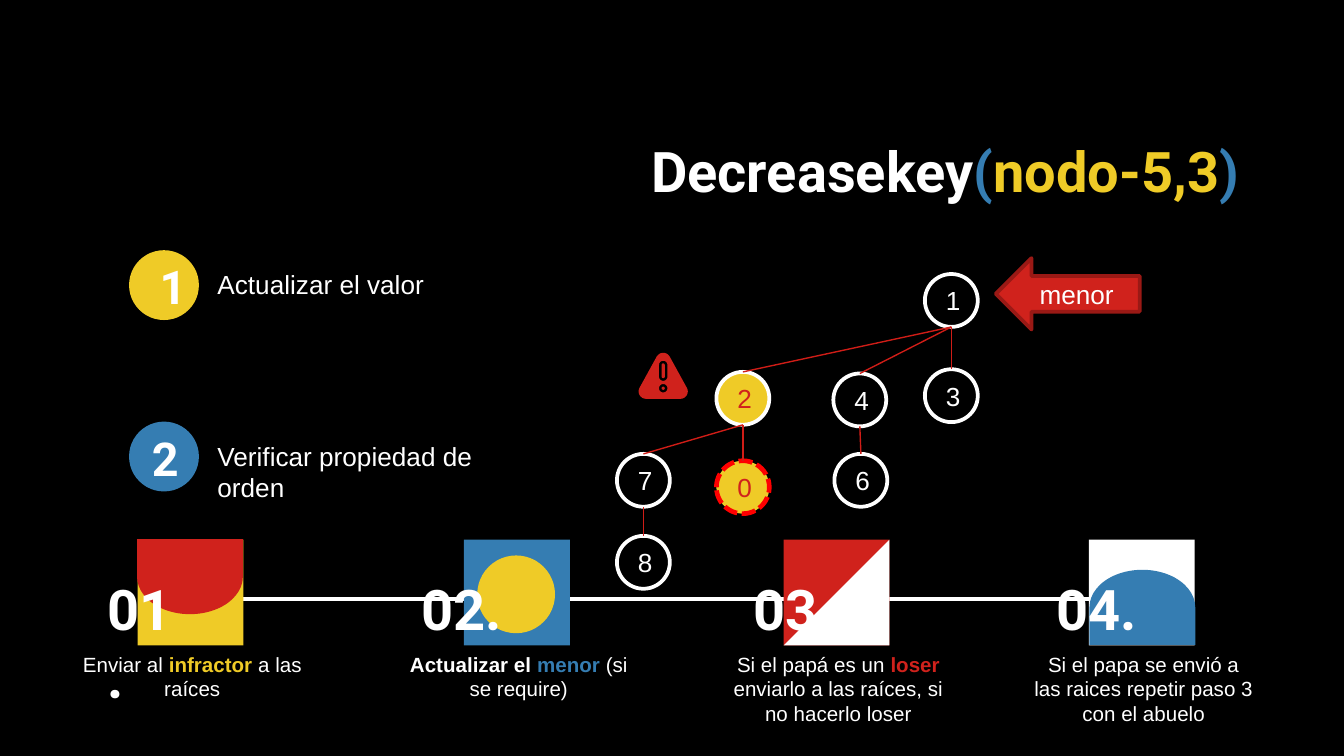
import math
import lxml.etree
import pptx
import pptx.util
import pptx.dml.color
import pptx.enum.dml
import pptx.enum.shapes
import pptx.enum.text
import pptx.oxml.ns

Cm = pptx.util.Cm
Pt = pptx.util.Pt
Kind = pptx.enum.shapes.MSO_SHAPE
Align = pptx.enum.text.PP_ALIGN
Anchor = pptx.enum.text.MSO_ANCHOR

HUES = {"black": "000000", "white": "FFFFFF", "gold": "EFCB27", "blue": "357DB2",
        "red": "D0221C", "edge": "D01D17", "dark": "9A1915", "alarm": "FF0000"}
HEAD = {"name": "Roboto", "size": Pt(30), "bold": True}
MARK = {"name": "Roboto", "size": Pt(25), "bold": True}
BODY = {"name": "Arial", "size": Pt(14), "bold": False}
NOTE = {"name": "Arial", "size": Pt(11), "bold": False}


def hue(name):
    return pptx.dml.color.RGBColor.from_string(HUES[name])


def write(frame, runs, fmt, align=Align.LEFT):
    para = frame.paragraphs[0]
    para.alignment = align
    for text, tint, *more in runs:
        run = para.add_run()
        run.text = text
        for key, value in {**fmt, **dict(*more)}.items():
            setattr(run.font, key, value)
        run.font.color.rgb = hue(tint)


def label(slide, box, runs, fmt, align=Align.LEFT, anchor=Anchor.TOP):
    frame = slide.shapes.add_textbox(*map(Cm, box)).text_frame
    style = {"word_wrap": True, "vertical_anchor": anchor}
    style.update({"margin_" + side: Cm(0.25) for side in ("left", "top", "right", "bottom")})
    for key, value in style.items():
        setattr(frame, key, value)
    write(frame, runs, fmt, align)


def paint(shape, fill=None, line=None, width=2):
    shape.shadow.inherit = False
    if fill:
        shape.fill.solid()
        shape.fill.fore_color.rgb = hue(fill)
    else:
        shape.fill.background()
    if line:
        shape.line.color.rgb = hue(line)
        shape.line.width = Pt(width)
    else:
        shape.line.fill.background()


def form(slide, kind, box, fill=None, line=None, width=2, turn=0):
    shape = slide.shapes.add_shape(kind, *map(Cm, box))
    shape.rotation = turn
    paint(shape, fill, line, width)
    return shape


def inner(shape, text, tint):
    shape.text_frame.vertical_anchor = Anchor.MIDDLE
    write(shape.text_frame, [(text, tint)], BODY, Align.CENTER)


def link(slide, start, end, tint, width):
    line = slide.shapes.add_connector(pptx.enum.shapes.MSO_CONNECTOR.STRAIGHT,
                                      *map(Cm, (*start, *end)))
    line.line.color.rgb = hue(tint)
    line.line.width = Pt(width)
    lxml.etree.SubElement(line._element.spPr, pptx.oxml.ns.qn("a:effectLst"))


def title(slide, box):
    runs = [("Decreasekey", "white"), ("(", "blue"), ("nodo-5,3", "gold"), (")", "blue")]
    label(slide, box, runs, HEAD, Align.RIGHT, Anchor.MIDDLE)


def step(slide, box, mark, text, fill, shift):
    x, y, w, h = box
    form(slide, Kind.OVAL, (x, y, h, h), fill)
    label(slide, (x + shift, y - 0.1, 2, 1.6), [(mark, "white")], MARK)
    label(slide, (x + 1.42, y + 0.1, w - 1.42, 1.7), [(text, "white")], BODY)


def tree(slide, box):
    left, top, size = box
    spots = {"1": (5.82, 0), "3": (5.82, 1.8), "4": (4.09, 1.88), "6": (4.11, 3.4),
             "2": (1.88, 1.85), "0": (1.88, 3.53), "7": (0, 3.4), "8": (0, 4.95)}
    for text, (x, y) in spots.items():
        hot = text in "20"
        node = form(slide, Kind.OVAL, (left + x, top + y, size, size),
                    "gold" if hot else None, "white")
        inner(node, text, "red" if hot else "white")
        if text == "0":
            paint(node, "gold", "alarm", 2.5)
            node.line.dash_style = pptx.enum.dml.MSO_LINE.SQUARE_DOT
    for high, low in ("13", "46", "20", "78", "27", "12", "14"):
        (x, y), (u, v) = spots[low], spots[high]
        link(slide, (left + x + size / 2, top + y),
             (left + u + size / 2, top + v + size), "edge", 0.75)


def arrow(slide, box):
    inner(form(slide, Kind.LEFT_ARROW, box, "red", "dark"), "menor", "white")


def alert(slide, box):
    left, top, w, h = box
    mid, r = w / 2, 0.14
    loops = [[(mid, r, r, -150, -30), (w - r, h - r, r, -30, 90), (r, h - r, r, 90, 210)]]
    for r in (0.08, 0.03):
        loops.append([(mid, 0.23, r, 180, 360), (mid, 0.45, r, 0, 180)])
        loops.append([(mid, 0.67, r, 0, 345)])
    pen = None
    for loop in loops:
        dots = [(Cm(left + x + r * math.cos(math.radians(a))),
                 Cm(top + y + r * math.sin(math.radians(a))))
                for x, y, r, low, high in loop for a in range(low, high + 1, 15)]
        if pen:
            pen.move_to(*dots[0])
        else:
            pen = slide.shapes.build_freeform(*dots[0])
        pen.add_line_segments(dots[1:], close=True)
    paint(pen.convert_to_shape(), "red")


def stage(slide, box, mark, wide, shift, base, kind, part, turn, fill, runs):
    x, y, w, h = box
    left, side = x + 1.3, 2
    form(slide, Kind.RECTANGLE, (left, y, side, side), base)
    dx, dy, pw, ph = part
    form(slide, kind, (left + dx, y + dy, pw, ph), fill, turn=turn)
    label(slide, (x + shift, y + 0.42, wide, 2), [(mark, "white")], HEAD)
    label(slide, (x, y + 1.87, w, h - 1.87), runs, NOTE, Align.CENTER)


def main():
    deck = pptx.Presentation()
    deck.slide_width, deck.slide_height = Cm(25.4), Cm(14.29)
    slide = deck.slides.add_slide(deck.slide_layouts[6])
    slide.background.fill.solid()
    slide.background.fill.fore_color.rgb = hue("black")

    title(slide, (10.16, 1.57, 13.51, 3.3))
    step(slide, (2.44, 4.73, 8.25, 1.32), "1", "Actualizar el valor", "gold", 0.33)
    step(slide, (2.44, 7.97, 6.8, 1.32), "2", "Verificar propiedad de orden", "blue", 0.18)
    tree(slide, (11.66, 5.18, 1))
    arrow(slide, (18.82, 4.88, 2.72, 1.35))
    alert(slide, (12.07, 6.67, 0.93, 0.87))

    link(slide, (3.53, 11.33), (22.35, 11.33), "white", 2.25)
    bold = {"bold": True}
    stages = [
        (1.3, "01.", 1.96, 0.48, "gold", Kind.FLOWCHART_DELAY, (0.28, -0.3, 1.42, 2), 90, "red",
         [("Enviar al ", "white"), ("infractor ", "gold", bold), ("a las raíces", "white")]),
        (7.47, "02.", 2.39, 0.25, "blue", Kind.OVAL, (0.25, 0.3, 1.47, 1.47), 0, "gold",
         [("Actualizar el ", "white", bold), ("menor", "blue", bold),
          (" (si se require)", "white")]),
        (13.51, "03.", 2.16, 0.48, "red", Kind.RIGHT_TRIANGLE, (0, 0, 2, 2), 270, "white",
         [("Si el papá es un ", "white"), ("loser ", "red", bold),
          ("enviarlo a las raíces, si no hacerlo loser", "white")]),
        (19.28, "04.", 2.16, 0.43, "white", Kind.FLOWCHART_DELAY, (0.3, 0.28, 1.42, 2), 270, "blue",
         [("Si el papa se envió a las raices repetir paso 3 con el abuelo", "white")]),
    ]
    for x, *rest in stages:
        stage(slide, (x, 10.2, 4.67, 4.7), *rest)
    deck.save("out.pptx")


if __name__ == "__main__":
    main()
